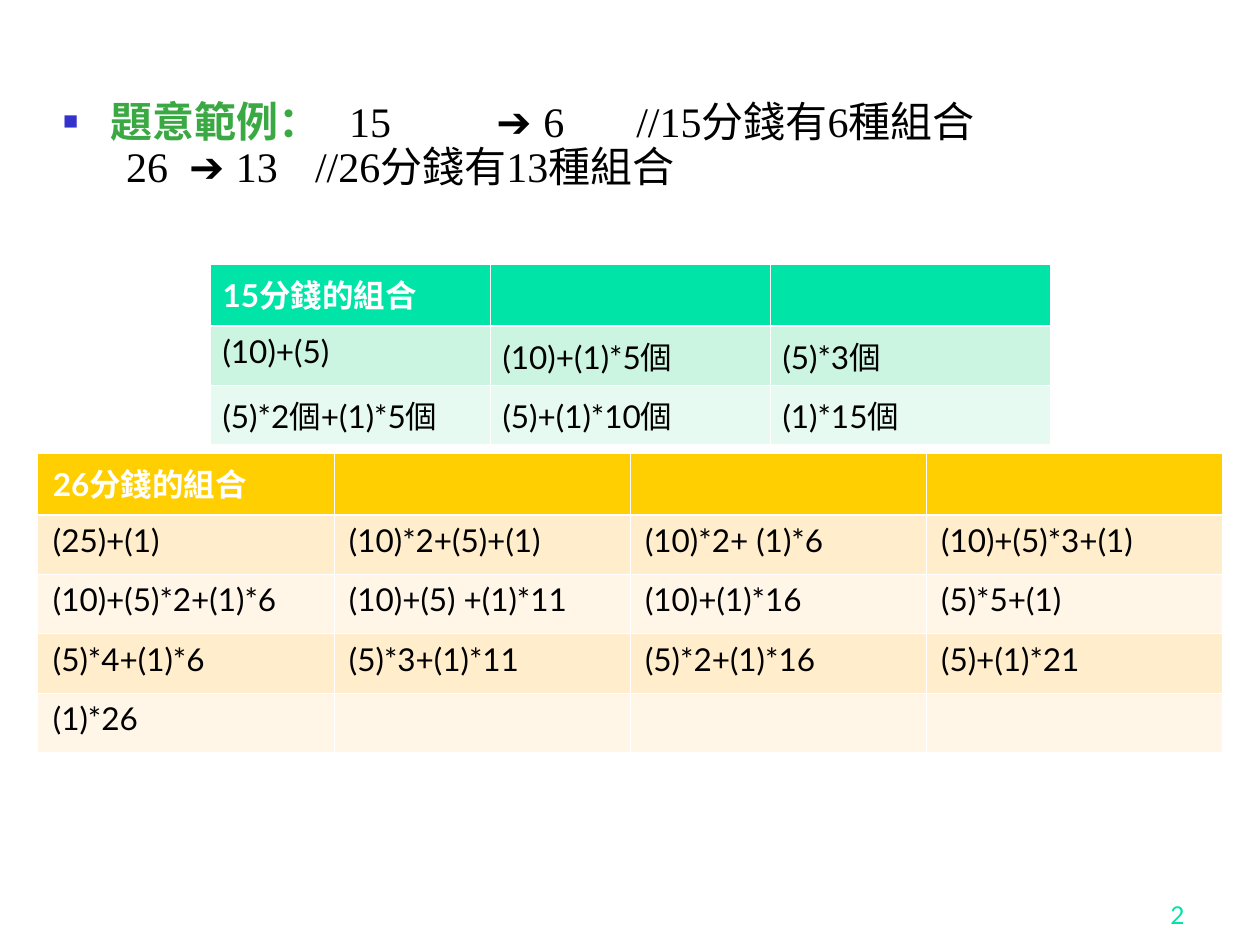
from lxml import etree
from pptx import Presentation
from pptx.dml.color import RGBColor
from pptx.enum.text import MSO_ANCHOR, MSO_AUTO_SIZE, PP_ALIGN
from pptx.oxml.ns import qn
from pptx.util import Emu, Inches, Pt

RIGHT = PP_ALIGN.RIGHT
TOP, BOTTOM = MSO_ANCHOR.TOP, MSO_ANCHOR.BOTTOM
NO_FIT = MSO_AUTO_SIZE.NONE

WHITE, BLACK = "FFFFFF", "000000"
THIN, THICK = 0.45, 1.47


def rgb(value):
    return RGBColor.from_string(value)


def add_run(p, text, font="Lato", size=18, color=BLACK, bold=False):
    r = p.add_run()
    r.text = text
    r.font.name, r.font.size, r.font.bold = font, Pt(size), bold
    r.font.color.rgb = rgb(color)
    return r


def child(parent, tag, **attrs):
    return etree.SubElement(parent, qn(tag), {k: str(v) for k, v in attrs.items()})


class Deck:
    accent = "00E4A8"
    heading = "3BA943"
    bullet = "3333CC"
    serif = "Times New Roman"

    def __init__(self, width, height):
        self.prs = Presentation()
        self.prs.slide_width, self.prs.slide_height = Inches(width), Inches(height)
        self.s = None

    def new_slide(self):
        self.s = self.prs.slides.add_slide(self.prs.slide_layouts[1])
        title = self.s.shapes.title
        title.element.getparent().remove(title.element)

    def box(self, x, y, w, h):
        width, height = self.prs.slide_width, self.prs.slide_height
        return [Emu(round(v)) for v in (x * width, y * height, w * width, h * height)]

    def body(self, area, lines):
        sp = self.s.placeholders[1]
        sp.left, sp.top, sp.width, sp.height = self.box(*area)
        tf = sp.text_frame
        tf.auto_size, tf.vertical_anchor = NO_FIT, TOP
        for i, (label, parts, stops) in enumerate(lines):
            p = tf.paragraphs[0] if i == 0 else tf.add_paragraph()
            p.line_spacing, p.space_before = 0.9, Pt(0)
            self.indent(p, bool(label), stops)
            if label:
                add_run(p, label, self.serif, 24, self.heading, True)
            amount, count, note = parts
            for text, font in (("\t" + amount + "\t", self.serif), ("➔ ", "Arial"),
                               (count + "\t" + note, self.serif)):
                add_run(p, text, font, 24)

    def indent(self, p, bulleted, stops):
        pPr = p._p.get_or_add_pPr()
        margin = Inches(0.38) if bulleted else 0
        pPr.set("marL", str(margin))
        pPr.set("indent", str(-margin))
        if bulleted:
            child(child(pPr, "a:buClr"), "a:srgbClr", val=self.bullet)
            child(pPr, "a:buSzPct", val=60000)
            child(pPr, "a:buFont", typeface="Arial")
            child(pPr, "a:buChar", char="■")
        else:
            child(pPr, "a:buNone")
        tabs = child(pPr, "a:tabLst")
        for stop in stops:
            child(tabs, "a:tab", pos=Inches(stop), algn="l")

    def table(self, area, rows, colors, inset):
        header, *bands = colors
        n_rows, n_cols = len(rows), len(rows[0])
        table = self.s.shapes.add_table(n_rows, n_cols, *self.box(*area)).table
        table.first_row = table.horz_banding = False
        for i, row in enumerate(rows):
            table.rows[i].height = Inches(0.47 if i else 0.49)
            fill = bands[(i - 1) % 2] if i else header
            for j, text in enumerate(row):
                cell = table.cell(i, j)
                cell.margin_left = cell.margin_right = Inches(inset)
                if text:
                    add_run(cell.text_frame.paragraphs[0], text,
                            color=BLACK if i else WHITE, bold=i == 0)
                self.borders(cell, THICK if i == 1 else THIN, THIN if i else THICK)
                cell.fill.solid()
                cell.fill.fore_color.rgb = rgb(fill)

    def borders(self, cell, top, bottom):
        tcPr = cell._tc.get_or_add_tcPr()
        for side, width in zip("LRTB", (THIN, THIN, top, bottom)):
            ln = child(tcPr, "a:ln" + side, w=Pt(width))
            child(child(ln, "a:solidFill"), "a:srgbClr", val=WHITE)

    def page_number(self, area, text):
        tf = self.s.shapes.add_textbox(*self.box(*area)).text_frame
        tf.word_wrap, tf.vertical_anchor = True, BOTTOM
        p = tf.paragraphs[0]
        p.alignment = RIGHT
        add_run(p, text, size=14, color=self.accent)


def main():
    deck = Deck(10, 7.5)
    deck.new_slide()
    deck.page_number((0.74, 0.92, 0.21, 0.07), "2")
    deck.body((0.04, 0.1, 0.88, 0.82), [
        ("題意範例：", ("15", "6", "//15分錢有6種組合"), (2.27, 3.44, 4.55)),
        ("", ("26", "13", "//26分錢有13種組合"), (2.1, 3.19, 4.3)),
    ])
    deck.table((1 / 6, 0.28, 2 / 3, 0.19), [
        ("15分錢的組合", "", ""),
        ("(10)+(5)", "(10)+(1)*5個", "(5)*3個"),
        ("(5)*2個+(1)*5個", "(5)+(1)*10個", "(1)*15個"),
    ], (deck.accent, "CBF5E1", "E7FAF1"), 0.1)
    deck.table((0.03, 0.48, 0.94, 0.32), [
        ("26分錢的組合", "", "", ""),
        ("(25)+(1)", "(10)*2+(5)+(1)", "(10)*2+ (1)*6", "(10)+(5)*3+(1)"),
        ("(10)+(5)*2+(1)*6", "(10)+(5) +(1)*11", "(10)+(1)*16", "(5)*5+(1)"),
        ("(5)*4+(1)*6", "(5)*3+(1)*11", "(5)*2+(1)*16", "(5)+(1)*21"),
        ("(1)*26", "", "", ""),
    ], ("FFCF01", "FFEDCB", "FFF6E7"), 0.12)
    deck.prs.save("out.pptx")


if __name__ == "__main__":
    main()
